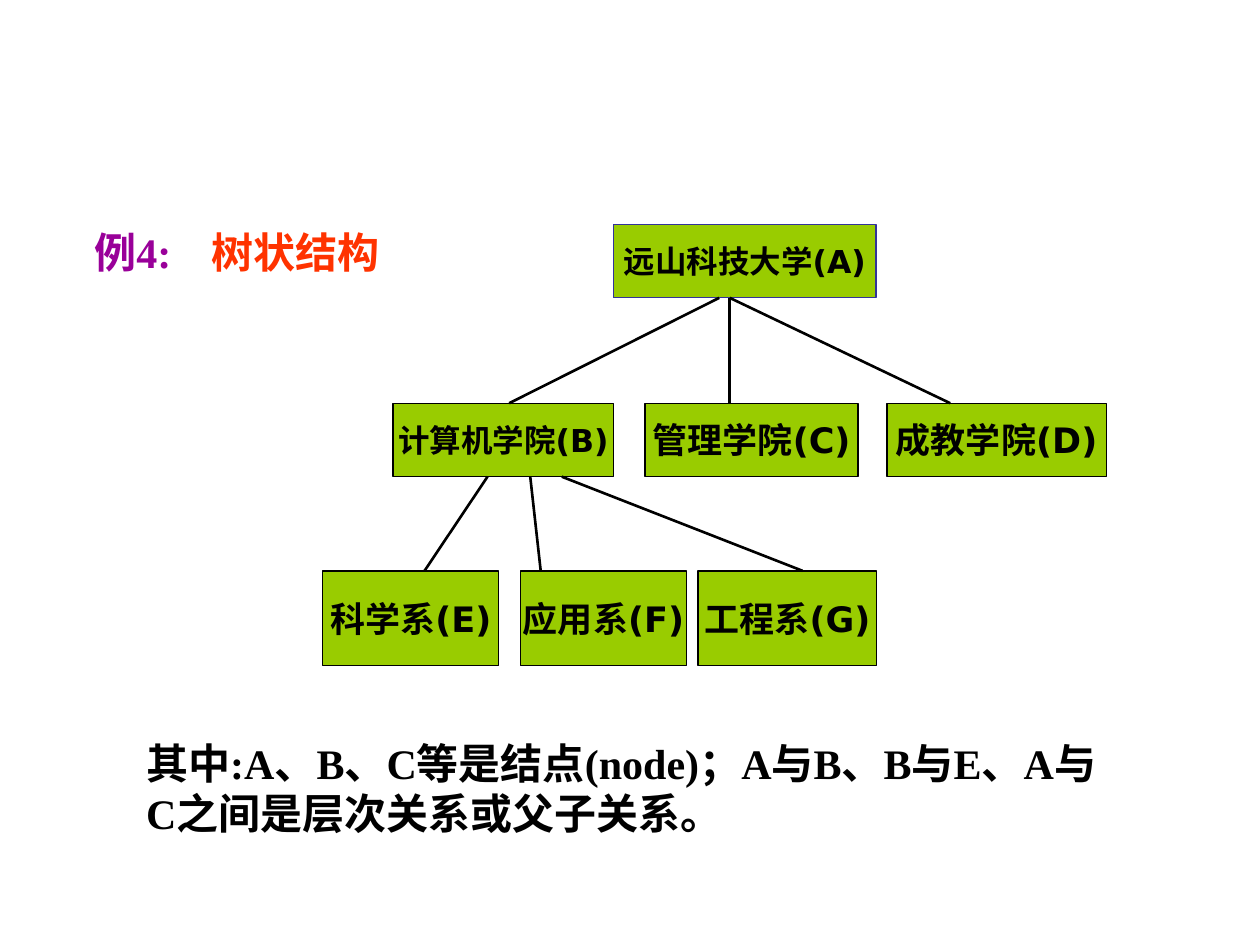
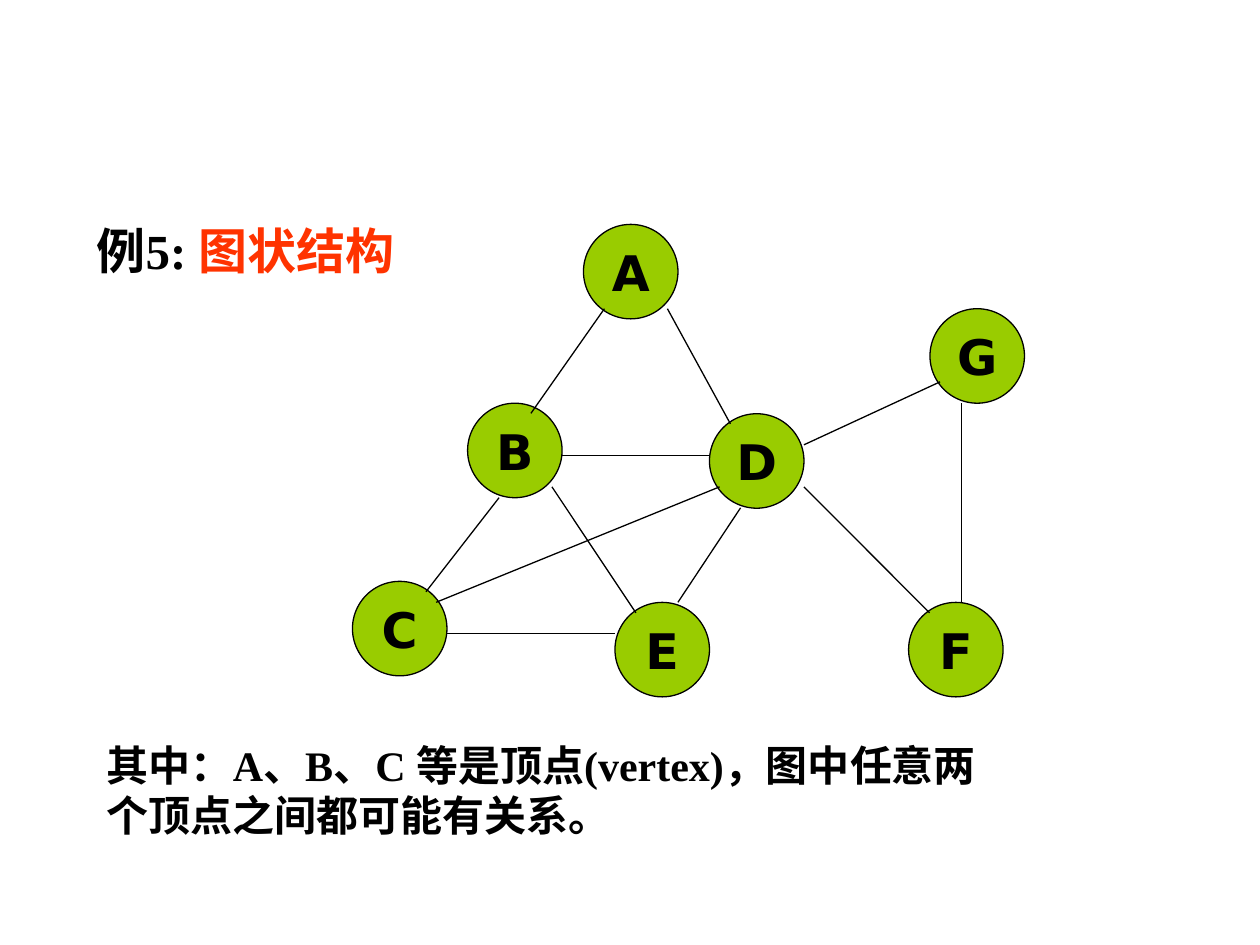
from dataclasses import dataclass
from typing import NamedTuple

from pptx import Presentation
from pptx.dml.color import RGBColor
from pptx.enum import shapes, text
from pptx.oxml import ns
from pptx.util import Pt
from lxml import etree

GREEN, BLACK, BLUE = "99CC00", "000000", "333399"
PURPLE, ORANGE = "990099", "FF3300"
SERIF, SANS, CJK = "Times New Roman", "DejaVu Sans", "Noto Sans CJK JP"
RECT, OVAL = shapes.MSO_SHAPE.RECTANGLE, shapes.MSO_SHAPE.OVAL
DIAMETER = 54


class Span(NamedTuple):
    text: str
    size: float
    color: str = BLACK
    font: str = SERIF


class Box(NamedTuple):
    x: float
    y: float
    w: float
    h: float


class Edge(NamedTuple):
    x1: float
    y1: float
    x2: float
    y2: float


class Level(NamedTuple):
    top: float
    height: float

    @property
    def bottom(self) -> float:
        return self.top + self.height


@dataclass
class Node:
    label: str
    box: Box
    kind: shapes.MSO_SHAPE = RECT
    size: float = 20
    outline: str = BLACK


def rgb(value: str) -> RGBColor:
    return RGBColor.from_string(value)


def add_run(p, span: Span) -> None:
    r = p.add_run()
    r.text = span.text
    r.font.size = Pt(span.size)
    r.font.bold = True
    r.font.color.rgb = rgb(span.color)
    r.font.name = span.font
    etree.SubElement(r.font._element, ns.qn("a:ea"), typeface=CJK)


def add_text(slide, box: Box, spans: list[Span], anchor=text.MSO_ANCHOR.TOP):
    tf = slide.shapes.add_textbox(*map(Pt, box)).text_frame
    tf.word_wrap = True
    tf.vertical_anchor = anchor
    p = tf.paragraphs[0]
    for span in spans:
        add_run(p, span)
    return p


def set_tab(p, position: float) -> None:
    tabs = etree.SubElement(p._p.get_or_add_pPr(), ns.qn("a:tabLst"))
    etree.SubElement(tabs, ns.qn("a:tab"), pos=str(Pt(position)), algn="l")


def add_node(slide, node: Node) -> None:
    sp = slide.shapes.add_shape(node.kind, *map(Pt, node.box))
    sp.shadow.inherit = False
    sp.fill.solid()
    sp.fill.fore_color.rgb = rgb(GREEN)
    sp.line.color.rgb = rgb(node.outline)
    sp.line.width = Pt(0.75)
    tf = sp.text_frame
    tf.word_wrap = False
    tf.vertical_anchor = text.MSO_ANCHOR.MIDDLE
    p = tf.paragraphs[0]
    p.alignment = text.PP_ALIGN.CENTER
    add_run(p, Span(node.label, node.size, font=SANS))


def add_edge(slide, edge: Edge, width: float) -> None:
    line = slide.shapes.add_connector(shapes.MSO_CONNECTOR.STRAIGHT, *map(Pt, edge))
    line.line.color.rgb = rgb(BLACK)
    line.line.width = Pt(width)
    etree.SubElement(line._element.spPr, ns.qn("a:effectLst"))


def add_diagram(slide, nodes: list[Node], edges: list[Edge], width: float) -> None:
    for node in nodes:
        add_node(slide, node)
    for edge in edges:
        add_edge(slide, edge, width)


def build_tree(slide) -> None:
    p = add_text(slide, Box(46.8, 111.6, 222.5, 51), [
        Span("例4:\t", 24, PURPLE), Span("树状结构", 24, ORANGE, CJK)])
    p.line_spacing = 1.5
    p.space_after = Pt(6)
    set_tab(p, 67)
    add_text(slide, Box(76.5, 417.6, 561.6, 65), [
        Span("其中:A、B、C等是结点(node)；A与B、B与E、A与C之间是层次关系或父子关系。", 24)])

    root, colleges, departments = Level(128.2, 42), Level(230.4, 42), Level(326.2, 54)

    def node(label: str, level: Level, x: float, w: float, **style) -> Node:
        return Node(label, Box(x, level.top, w, level.height), **style)

    nodes = [
        node("远山科技大学(A)", root, 350.6, 150, size=18, outline=BLUE),
        node("计算机学院(B)", colleges, 224.6, 126, size=18),
        node("管理学院(C)", colleges, 368.6, 121.7),
        node("成教学院(D)", colleges, 506.9, 125.3),
        node("科学系(E)", departments, 184.3, 100.8),
        node("应用系(F)", departments, 297.4, 95),
        node("工程系(G)", departments, 398.9, 102.2),
    ]
    branches = [
        (root, colleges, [(417, 417), (411, 291), (417, 543)]),
        (colleges, departments, [(278.6, 242.6), (303, 309), (321, 458.6)]),
    ]
    edges = [Edge(x1, parent.bottom, x2, child.top)
             for parent, child, spans in branches for x1, x2 in spans]
    add_diagram(slide, nodes, edges, 1.5)


def build_graph(slide) -> None:
    add_text(slide, Box(48.2, 112.3, 232.6, 61.2), [
        Span("例5: ", 28), Span("图状结构", 28, ORANGE, CJK)],
        text.MSO_ANCHOR.MIDDLE)
    add_text(slide, Box(54, 419, 527, 65), [
        Span("其中：A、B、C 等是顶点(vertex)，图中任意两个顶点之间都可能有关系。", 24)])

    vertices = {
        "A": (333.4, 128.2), "B": (267.2, 230.4), "C": (201.4, 332.2),
        "D": (405.4, 236.4), "E": (351.4, 344.2), "F": (519.2, 344.2),
        "G": (531.4, 176.4),
    }
    nodes = [Node(name, Box(x, y, DIAMETER, DIAMETER), OVAL, 28)
             for name, (x, y) in vertices.items()]
    edges = [
        Edge(345.4, 176.4, 303.4, 236.2),
        Edge(381.4, 176.4, 417.4, 242.2),
        Edge(285.2, 284.4, 243.4, 338.2),
        Edge(315.4, 278.2, 363.4, 350.2),
        Edge(321.2, 260.2, 405.4, 260.2),
        Edge(249.2, 344.2, 411.2, 278.2),
        Edge(255.4, 362.2, 351.4, 362.2),
        Edge(423.2, 290.2, 387.4, 344.2),
        Edge(459.4, 254.2, 537.2, 218.2),
        Edge(459.4, 278.2, 531.2, 350.2),
        Edge(549.4, 230.4, 549.4, 344.2),
    ]
    add_diagram(slide, nodes, edges, 0.75)


def main() -> None:
    prs = Presentation()
    prs.slide_width, prs.slide_height = Pt(720), Pt(540)
    for build in (build_tree, build_graph):
        build(prs.slides.add_slide(prs.slide_layouts[6]))
    prs.save("out.pptx")


if __name__ == "__main__":
    main()
